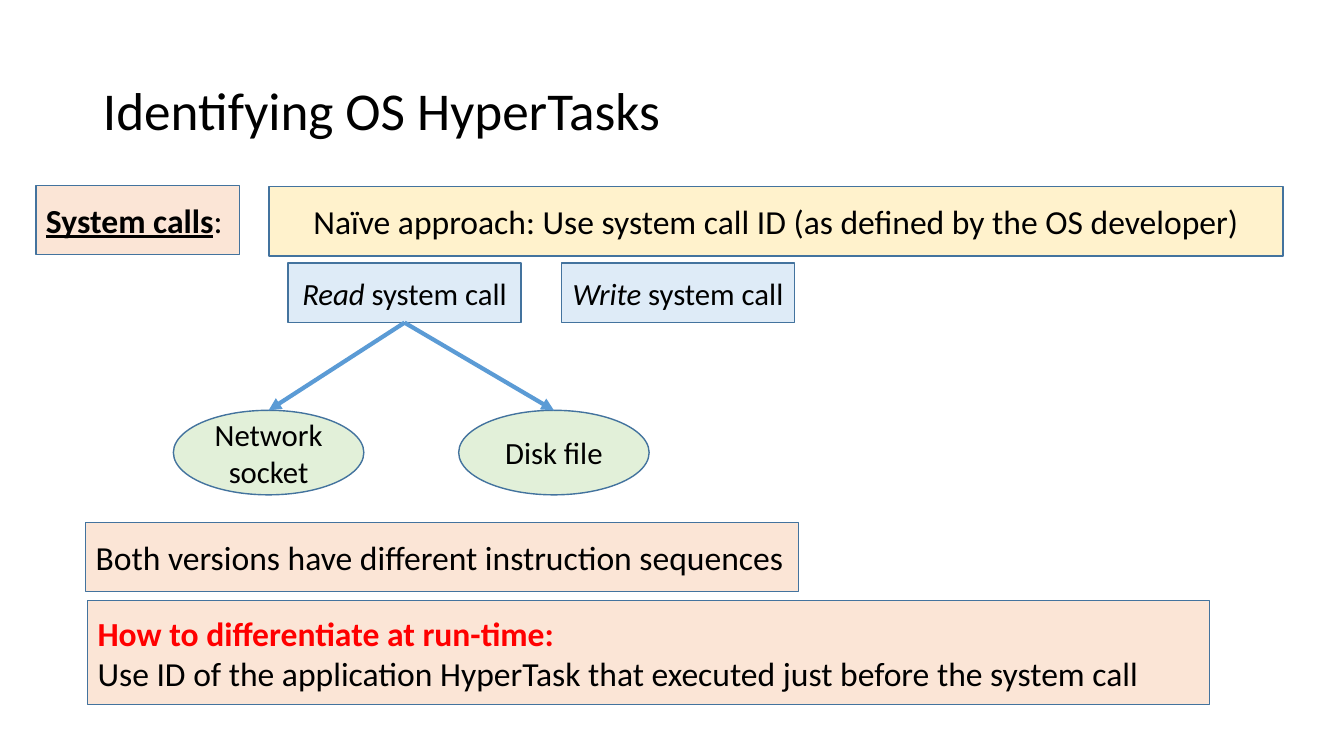
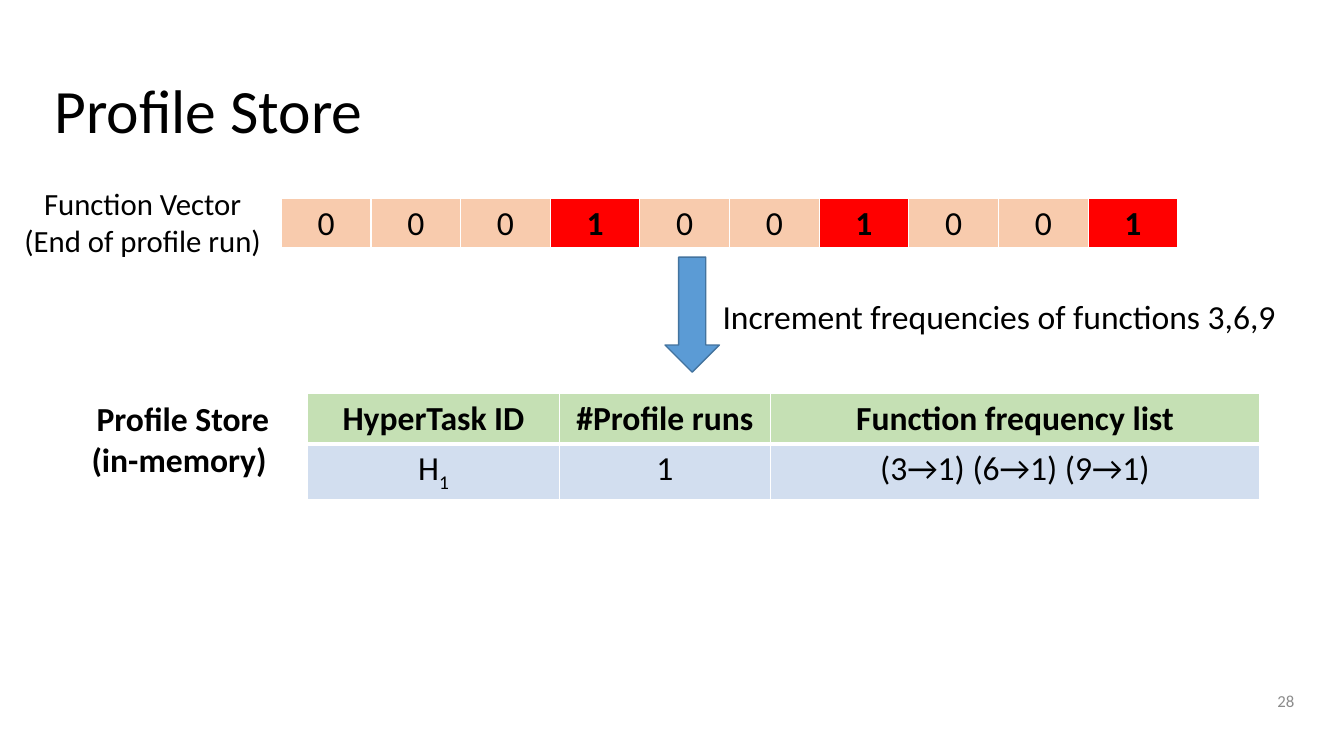
from lxml import etree
from pptx import Presentation
from pptx.dml.color import RGBColor
from pptx.enum import shapes, text
from pptx.oxml import ns
from pptx.util import Cm, Pt

# Shared look
FONT = "Calibri"
BLACK = RGBColor(0x00, 0x00, 0x00)
WHITE = RGBColor(0xFF, 0xFF, 0xFF)
RED = RGBColor(0xFF, 0x00, 0x00)
GREY = RGBColor(0x8C, 0x8C, 0x8C)
OUTLINE = RGBColor(0x43, 0x73, 0x9E)
ARROW_BLUE = RGBColor(0x5B, 0x9B, 0xD5)
PEACH = RGBColor(0xFB, 0xE5, 0xD6)
CREAM = RGBColor(0xFF, 0xF2, 0xCC)
PALE_BLUE = RGBColor(0xDE, 0xEB, 0xF7)
PALE_GREEN = RGBColor(0xE2, 0xF0, 0xD9)
BIT_CLEAR = RGBColor(0xF8, 0xCB, 0xAD)
HEADER_GREEN = RGBColor(0xC5, 0xE0, 0xB4)
ROW_BLUE = RGBColor(0xD2, 0xDE, 0xEF)

SHAPE = shapes.MSO_SHAPE
LEFT, CENTER, RIGHT = text.PP_ALIGN.LEFT, text.PP_ALIGN.CENTER, text.PP_ALIGN.RIGHT
MIDDLE = text.MSO_ANCHOR.MIDDLE
TITLE_ONLY = 5

BOLD = {"bold": True}
ITALIC = {"italic": True}
SUBSCRIPT = -25000


def cm_box(box):
    return [Cm(value) for value in box]


# Text
def write(frame, paragraphs, size, align=LEFT, color=BLACK, **common):
    """Each paragraph is a list of runs; a run is (words, format values)."""
    for index, runs in enumerate(paragraphs):
        paragraph = frame.paragraphs[0] if index == 0 else frame.add_paragraph()
        paragraph.alignment = align
        for words, extra in runs:
            run = paragraph.add_run()
            run.text = words
            style = {"name": FONT, "size": Pt(size), **common, **extra}
            run.font.color.rgb = style.pop("color", color)
            baseline = style.pop("baseline", None)
            if baseline:
                run.font._element.set("baseline", str(baseline))
            for name, value in style.items():
                setattr(run.font, name, value)


def plain(*lines):
    return [[(line, {})] for line in lines]


def add_titled_slide(prs, words, size, left, width):
    slide = prs.slides.add_slide(prs.slide_layouts[TITLE_ONLY])
    title = slide.shapes.title
    title.left, title.top, title.width, title.height = cm_box((left, 1.02, width, 3.68))
    frame = title.text_frame
    frame.auto_size = text.MSO_AUTO_SIZE.NONE
    frame.vertical_anchor = MIDDLE
    write(frame, plain(words), size)
    frame.paragraphs[0].line_spacing = 0.9
    return slide


def add_label(slide, box, paragraphs, size, align=LEFT, **style):
    frame = slide.shapes.add_textbox(*cm_box(box)).text_frame
    frame.word_wrap = False
    write(frame, paragraphs, size, align, **style)
    return frame


# Shapes
def add_block(slide, kind, box, fill, paragraphs=(), size=24, align=LEFT):
    block = slide.shapes.add_shape(kind, *cm_box(box))
    block.shadow.inherit = False
    block.fill.solid()
    block.fill.fore_color.rgb = fill
    block.line.color.rgb = OUTLINE
    block.line.width = Pt(1)
    block.text_frame.word_wrap = True
    block.text_frame.vertical_anchor = MIDDLE
    write(block.text_frame, paragraphs, size, align)
    return block


def add_arrow(slide, source, target):
    """Arrow from the bottom of a box to the top of an ellipse."""
    arrow = slide.shapes.add_connector(shapes.MSO_CONNECTOR.STRAIGHT, 0, 0, 0, 0)
    arrow.begin_connect(source, 2)
    arrow.end_connect(target, 0)
    arrow.line.color.rgb = ARROW_BLUE
    arrow.line.width = Pt(3)
    line = arrow.line._get_or_add_ln()
    etree.SubElement(line, ns.qn("a:tailEnd"), type="triangle")
    etree.SubElement(arrow._element.spPr, ns.qn("a:effectLst"))


# Tables
def set_borders(cell, widths):
    properties = cell._tc.get_or_add_tcPr()
    for index, (side, width) in enumerate(widths.items()):
        line = etree.Element(ns.qn("a:ln" + side), w=str(Pt(width)))
        fill = etree.SubElement(line, ns.qn("a:solidFill"))
        etree.SubElement(fill, ns.qn("a:srgbClr"), val=str(WHITE))
        properties.insert(index, line)


def add_grid(slide, left, top, widths, rows):
    """Each row is a list of cells; a cell is (runs, fill)."""
    row_height = 1.27
    box = (left, top, sum(widths), row_height * len(rows))
    table = slide.shapes.add_table(len(rows), len(widths), *cm_box(box)).table
    for column, width in zip(table.columns, widths):
        column.width = Cm(width)
    for r, cells in enumerate(rows):
        borders = {"L": 1, "R": 1, "T": 1, "B": 3} if r == 0 else {"L": 1, "R": 1, "B": 1}
        for c, (runs, fill) in enumerate(cells):
            cell = table.cell(r, c)
            cell.fill.solid()
            cell.fill.fore_color.rgb = fill
            set_borders(cell, borders)
            write(cell.text_frame, [runs], 24, CENTER, bold=False)


# Slides
def build_hypertasks(prs):
    slide = add_titled_slide(prs, "Identifying OS HyperTasks", 38, 2.34, 29.21)

    # Approach
    add_block(slide, SHAPE.RECTANGLE, (0.91, 4.67, 5.13, 1.75), PEACH,
              [[("System calls", {"bold": True, "underline": True}), (":", {})]])
    add_block(slide, SHAPE.RECTANGLE, (6.78, 4.7, 25.55, 1.75), CREAM,
              plain("Naïve approach: Use system call ID (as defined by the OS developer)"),
              align=CENTER)

    # System calls and the two targets of a read
    read_call, _ = [
        add_block(slide, SHAPE.RECTANGLE, (left, 6.63, 5.87, 1.5), PALE_BLUE,
                  [[(call, ITALIC), (" system call", {})]], 22, CENTER)
        for call, left in (("Read", 7.26), ("Write", 14.15))]
    for target, left in (("Network socket", 4.37), ("Disk file", 11.56)):
        ellipse = add_block(slide, SHAPE.OVAL, (left, 10.34, 4.8, 2.13), PALE_GREEN,
                            plain(target), 22, CENTER)
        add_arrow(slide, read_call, ellipse)

    # Conclusions
    add_block(slide, SHAPE.RECTANGLE, (2.16, 13.16, 17.96, 1.75), PEACH,
              plain("Both versions have different instruction sequences"))
    add_block(slide, SHAPE.RECTANGLE, (2.21, 15.14, 28.27, 2.62), PEACH, [
        [("How to differentiate at run-time:", {"bold": True, "color": RED})],
        [("Use ID of the application HyperTask that executed just before the system call", {})],
    ])


def build_profile_store(prs):
    slide = add_titled_slide(prs, "Profile Store", 44, 1.12, 31.27)

    # Function vector
    add_label(slide, (0.33, 4.52, 6.53, 2.13),
              plain("Function Vector", "(End of profile run)"), 22, CENTER)
    bits = "0001001001"
    vector = [([(bit, BOLD)], RED) if bit == "1" else ([(bit, {})], BIT_CLEAR)
              for bit in bits]
    add_grid(slide, 7.09, 5, [2.26] * len(bits), [vector])

    # Update step
    add_block(slide, SHAPE.DOWN_ARROW, (16.76, 6.48, 1.37, 2.9), ARROW_BLUE)
    add_label(slide, (17.96, 7.34, 14.6, 1.27),
              plain("Increment frequencies of functions 3,6,9"), 24)

    # Store
    add_label(slide, (2.03, 9.91, 5.16, 2.31),
              plain("Profile Store", "(in-memory) "), 24, CENTER, bold=True)
    headings = ("HyperTask ID", "#Profile runs", "Function frequency list")
    entry = ([("H", {}), ("1", {"baseline": SUBSCRIPT})],
             [("1", {})],
             [("(3→1) (6→1) (9→1)", {})])
    add_grid(slide, 7.75, 9.91, [6.35, 5.31, 12.34], [
        [([(heading, BOLD)], HEADER_GREEN) for heading in headings],
        [(runs, ROW_BLUE) for runs in entry],
    ])

    # Slide number
    number = add_label(slide, (25.25, 17.15, 7.62, 1.02), plain("28"), 12, RIGHT, color=GREY)
    number.word_wrap = True
    number.vertical_anchor = MIDDLE


def main():
    prs = Presentation()
    prs.slide_width, prs.slide_height = Cm(33.87), Cm(19.05)
    build_hypertasks(prs)
    build_profile_store(prs)
    prs.save("out.pptx")


if __name__ == "__main__":
    main()
